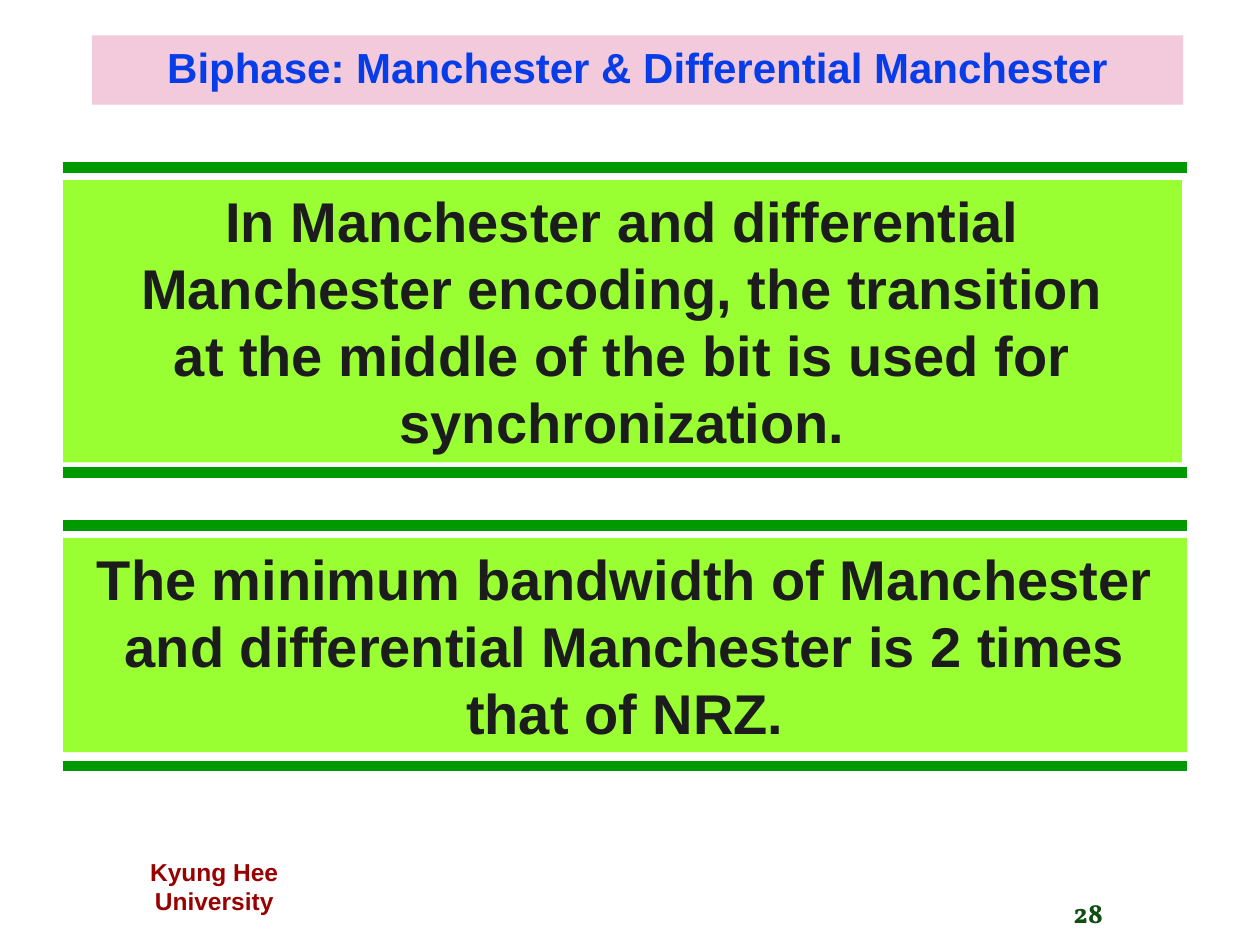
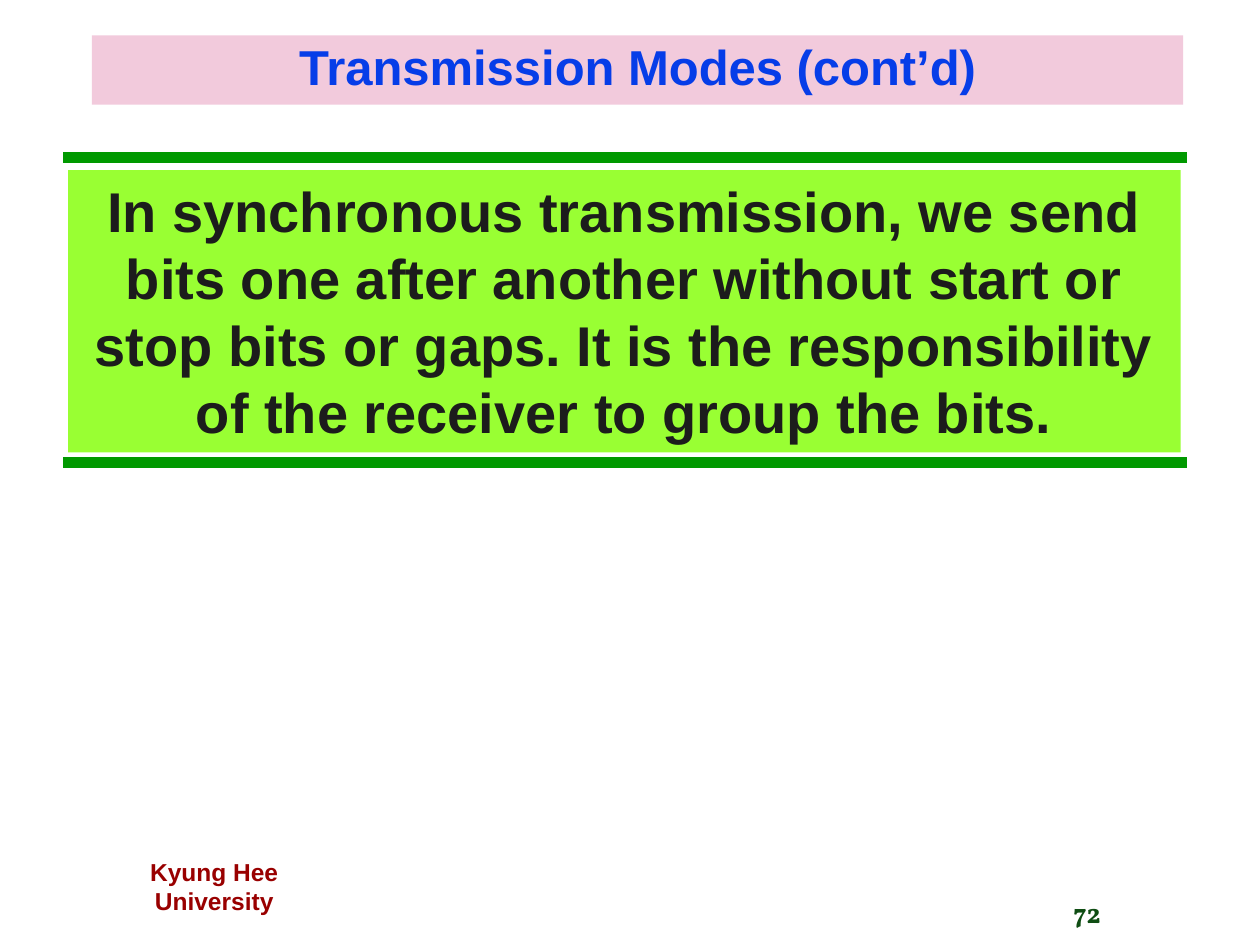
"""Build two key-point slides on line coding and transmission modes."""
from dataclasses import dataclass

from pptx import Presentation
from pptx.dml.color import RGBColor as Rgb
from pptx.enum.shapes import MSO_CONNECTOR as Connector, MSO_SHAPE as Shape
from pptx.enum.text import MSO_ANCHOR as Anchor, MSO_AUTO_SIZE as AutoSize, PP_ALIGN as Align
from pptx.oxml.ns import qn
from pptx.util import Inches, Pt
from lxml.etree import SubElement

UNIVERSITY = "Kyung Hee University"
SLIDES = [
    {
        "title": "Biphase: Manchester & Differential Manchester",
        "title_size": 24,
        "page": "28",
        "statements": [
            {"rules": (1.33, 3.75), "left": 0.5, "width": 8.88, "height": 2.24,
             "text": ["In Manchester and differential Manchester encoding, the transition",
                      "at the middle of the bit is used for synchronization."]},
            {"rules": (4.17, 6.08), "left": 0.5, "width": 8.92, "height": 1.7,
             "text": ["The minimum bandwidth of Manchester and differential Manchester "
                      "is 2 times that of NRZ."]},
        ],
    },
    {
        "title": "Transmission Modes (cont’d)",
        "title_size": 28,
        "page": "72",
        "statements": [
            {"rules": (1.25, 3.67), "left": 0.54, "width": 8.83, "height": 2.24,
             "text": ["In synchronous transmission, we send bits one after another without "
                      "start or stop bits or gaps. It is the responsibility of the receiver "
                      "to group the bits."]},
        ],
    },
]

RULE_LEFT, RULE_RIGHT, RULE_GAP = 0.5, 9.42, 0.1
TITLE_BOX = (0.73, 0.28, 8.66, 0.55)
UNIVERSITY_BOX = (0.69, 6.75, 2.02, 0.57)
PAGE_BOX = (8.42, 7.06, 1.38, 0.42)


@dataclass(frozen=True)
class Theme:
    """Colours, fonts and type sizes shared by the slides."""
    background: str = "FFFFFF"
    title: str = "063DE8"
    title_band: str = "F2CADC"
    rule: str = "009900"
    panel: str = "99FF33"
    statement: str = "1C1C1C"
    university: str = "990000"
    page: str = "0F4D13"
    font: str = "Arial"
    page_font: str = "Vollkorn"
    statement_size: int = 32
    university_size: int = 14
    page_size: int = 16
    rule_width: int = 6


THEME = Theme()


def assign(target, **values):
    """Set every given attribute on the target."""
    for attribute, value in values.items():
        setattr(target, attribute, value)


def fill(part, colour):
    """Fill a shape or background with one colour."""
    part.fill.solid()
    part.fill.fore_color.rgb = Rgb.from_string(colour)


def write(shape, paragraphs, colour, size, font=THEME.font, align=Align.CENTER,
          anchor=Anchor.TOP, wrap=True, spacing=1.0):
    """Write bold paragraphs into a shape."""
    frame = shape.text_frame
    frame.text = "\n".join(paragraphs)
    assign(frame, word_wrap=wrap, auto_size=AutoSize.NONE, vertical_anchor=anchor,
           margin_left=Inches(0.1), margin_right=Inches(0.1),
           margin_top=Inches(0.05), margin_bottom=Inches(0.05))
    for paragraph in frame.paragraphs:
        assign(paragraph, alignment=align, line_spacing=spacing)
        for run in paragraph.runs:
            assign(run.font, name=font, size=Pt(size), bold=True)
            run.font.color.rgb = Rgb.from_string(colour)


def add_footer(slide, page):
    """Add the university name and the page number."""
    number = slide.shapes.add_textbox(*map(Inches, PAGE_BOX))
    write(number, [page], THEME.page, THEME.page_size, THEME.page_font,
          align=Align.LEFT, wrap=False)
    university = slide.shapes.add_textbox(*map(Inches, UNIVERSITY_BOX))
    write(university, [UNIVERSITY], THEME.university, THEME.university_size)


def add_title(slide, title, size):
    """Place the title on its coloured band."""
    band = slide.shapes.title
    assign(band, **dict(zip(("left", "top", "width", "height"), map(Inches, TITLE_BOX))))
    fill(band, THEME.title_band)
    write(band, [title], THEME.title, size, anchor=Anchor.MIDDLE, spacing=0.9)


def add_statement(slide, rules, left, width, height, text):
    """Add a panel of text between two thick rules."""
    for y in rules:
        rule = slide.shapes.add_connector(
            Connector.STRAIGHT, *map(Inches, (RULE_LEFT, y, RULE_RIGHT, y)))
        rule.line.width = Pt(THEME.rule_width)
        rule.line.color.rgb = Rgb.from_string(THEME.rule)
        SubElement(rule._element.spPr, qn("a:effectLst"))
    panel = slide.shapes.add_shape(
        Shape.RECTANGLE, *map(Inches, (left, rules[0] + RULE_GAP, width, height)))
    panel.shadow.inherit = False
    fill(panel, THEME.panel)
    panel.line.fill.background()
    write(panel, text, THEME.statement, THEME.statement_size)


def main():
    """Build and save the presentation."""
    deck = Presentation()
    assign(deck, slide_width=Inches(10), slide_height=Inches(7.5))
    title_only = deck.slide_layouts.get_by_name("Title Only")
    fill(deck.slide_master.background, THEME.background)
    for content in SLIDES:
        slide = deck.slides.add_slide(title_only)
        add_footer(slide, content["page"])
        add_title(slide, content["title"], content["title_size"])
        for statement in content["statements"]:
            add_statement(slide, **statement)
    deck.save("out.pptx")


if __name__ == "__main__":
    main()
